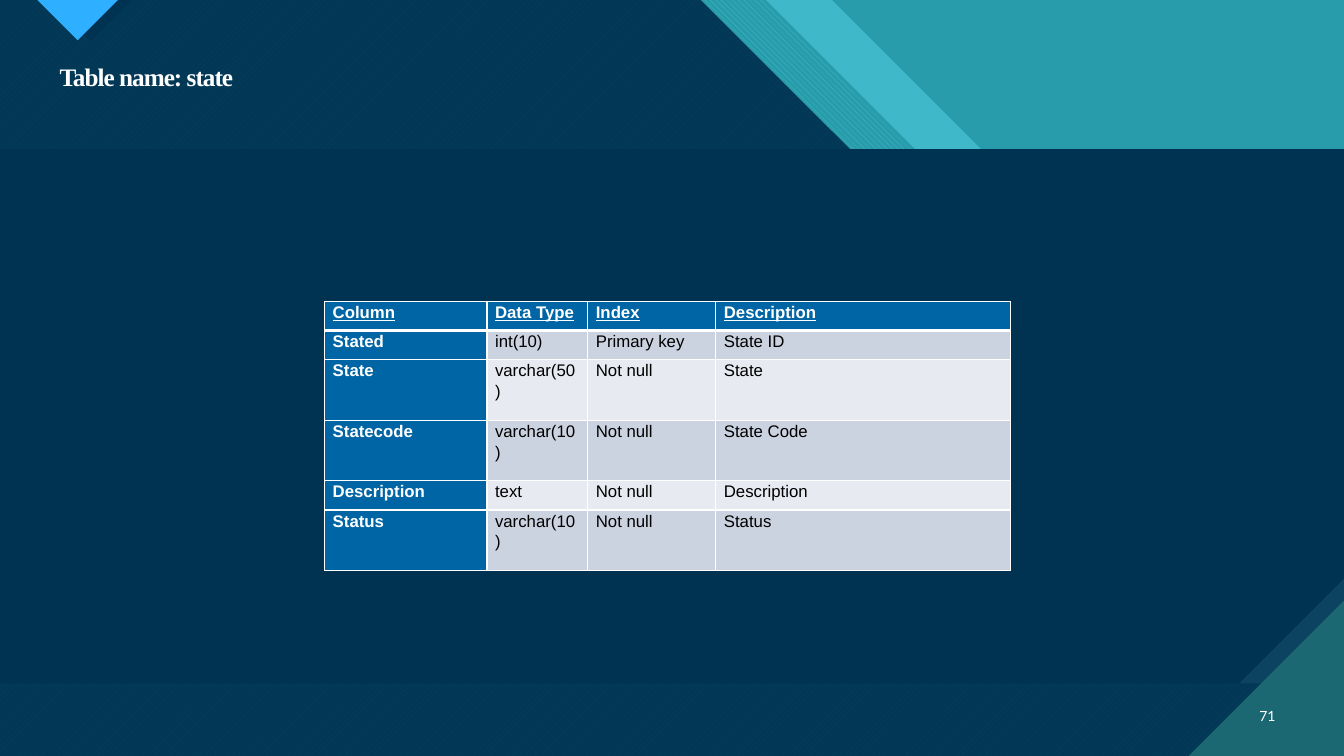
from lxml.etree import SubElement
from pptx import Presentation
from pptx.dml.color import RGBColor
from pptx.enum.dml import MSO_PATTERN
from pptx.enum.text import MSO_ANCHOR, MSO_AUTO_SIZE, PP_ALIGN
from pptx.oxml.ns import qn
from pptx.util import Inches, Pt

COLORS = {
    "navy": "003352", "edge": "0C4360", "teal": "299CAB", "light": "3FB9C9",
    "aqua": "47C3D3", "deep": "1B6872", "sky": "2FAFFF", "blue": "0065A4",
    "odd": "CCD3E0", "even": "E7EAF0", "white": "FFFFFF", "black": "000000",
}
W, H = 13.33, 7.5
DROP = 2.97
PANEL_TOP, PANEL_BOTTOM = 1.48, 6.78


def rgb(name):
    return RGBColor.from_string(COLORS[name])


def style_text(p, text, color, **formats):
    r = p.add_run()
    r.text = text
    r.font.color.rgb = rgb(color)
    for name, value in formats.items():
        setattr(r.font, name, value)
    return r


prs = Presentation()
prs.slide_width, prs.slide_height = Inches(W), Inches(H)
s = prs.slides.add_slide(prs.slide_layouts[5])
s.background.fill.solid()
s.background.fill.fore_color.rgb = rgb("teal")

band = [(0, 0), (6.95, 0), (9.92, DROP), (11.18, DROP), (W, 5.12), (W, H), (0, H)]
stripes = [[(x, 0), (x + 0.65, 0), (x + 0.65 + DROP, DROP), (x + DROP, DROP)]
           for x in (6.95, 7.6)]
panel = [(0, PANEL_TOP), (W, PANEL_TOP), (W, 5.74), (12.29, PANEL_BOTTOM), (0, PANEL_BOTTOM)]
down, up = MSO_PATTERN.WIDE_DOWNWARD_DIAGONAL, MSO_PATTERN.WIDE_UPWARD_DIAGONAL

outlines = [
    (stripes[1], "light", None, None, 100),
    (stripes[0], "aqua", "teal", down, 100),
    (band, "aqua", "deep", up, 100),
    (band, "navy", None, None, 90),
    ([(0.48, 0), (1.31, 0), (0.9, 0.41)], "navy", None, None, 100),
    ([(0.37, 0), (1.17, 0), (0.77, 0.4)], "sky", None, None, 100),
    (panel, "navy", None, None, 100),
    ([(W, 5.74), (W, PANEL_BOTTOM), (12.29, PANEL_BOTTOM)], "edge", None, None, 100),
    ([(11.79, H), (W, H), (W, 5.96)], "deep", None, None, 100),
]
for points, color, back, pattern, opacity in outlines:
    corners = [(Inches(x), Inches(y)) for x, y in points]
    fb = s.shapes.build_freeform(*corners[0])
    fb.add_line_segments(corners[1:])
    sp = fb.convert_to_shape()
    sp.shadow.inherit = False
    sp.line.fill.background()
    if pattern is not None:
        sp.fill.patterned()
        sp.fill.pattern = pattern
        sp.fill.back_color.rgb = rgb(back)
    else:
        sp.fill.solid()
    sp.fill.fore_color.rgb = rgb(color)
    if opacity < 100:
        clr = sp.element.spPr.find(qn("a:solidFill")).find(qn("a:srgbClr"))
        SubElement(clr, qn("a:alpha"), val=str(opacity * 1000))

title = s.shapes.title
title.element.getparent().append(title.element)
title.left, title.top = Inches(0.49), Inches(0.59)
title.width, title.height = Inches(12.26), Inches(0.86)
tf = title.text_frame
tf.auto_size = MSO_AUTO_SIZE.NONE
tf.vertical_anchor = MSO_ANCHOR.TOP
p = tf.paragraphs[0]
p.alignment = PP_ALIGN.LEFT
p.line_spacing = 0.9
r = style_text(p, "Table name: state", "white", size=Pt(18), bold=True, name="Times New Roman")
r._r.get_or_add_rPr().set("spc", "-70")

number = s.shapes.add_textbox(Inches(12.31), Inches(6.9), Inches(0.44), Inches(0.4))
tf = number.text_frame
tf.word_wrap = True
tf.vertical_anchor = MSO_ANCHOR.MIDDLE
p = tf.paragraphs[0]
p.alignment = PP_ALIGN.RIGHT
style_text(p, "71", "white", size=Pt(10), name="Lato")

rows = [
    ("Column", "Data Type", "Index", "Description"),
    ("Stated", "int(10)", "Primary key", "State ID"),
    ("State", "varchar(50)", "Not null", "State"),
    ("Statecode", "varchar(10)", "Not null", "State Code"),
    ("Description", "text", "Not null", "Description"),
    ("Status", "varchar(10)", "Not null", "Status"),
]
table = s.shapes.add_table(len(rows), 4, Inches(3.22), Inches(2.99),
                           Inches(6.8), Inches(2.67)).table
table.first_col = True
for col, width in zip(table.columns, (1.61, 1, 1.27, 2.92)):
    col.width = Inches(width)
for i, values in enumerate(rows):
    table.rows[i].height = Inches(0.6 if "varchar" in values[1] else 0.29)
    for j, value in enumerate(values):
        cell = table.cell(i, j)
        heading = i == 0 or j == 0
        margins = {"margin_left": 0.08, "margin_right": 0.08, "margin_top": 0, "margin_bottom": 0}
        for name, inset in margins.items():
            setattr(cell, name, Inches(inset))
        tcPr = cell._tc.get_or_add_tcPr()
        for side in "LRTB":
            thick = (i == 0 and side == "B") or (i == 1 and side == "T")
            ln = SubElement(tcPr, qn("a:ln" + side), w=str(Pt(3 if thick else 1)))
            SubElement(SubElement(ln, qn("a:solidFill")), qn("a:srgbClr"), val=COLORS["white"])
        cell.fill.solid()
        cell.fill.fore_color.rgb = rgb("blue" if heading else "odd" if i % 2 else "even")
        p = cell.text_frame.paragraphs[0]
        p.alignment = PP_ALIGN.JUSTIFY
        p.line_spacing = 1.1
        style_text(p, value, "white" if heading else "black", size=Pt(12),
                   name="Arial", bold=heading, underline=i == 0)

prs.save("out.pptx")
